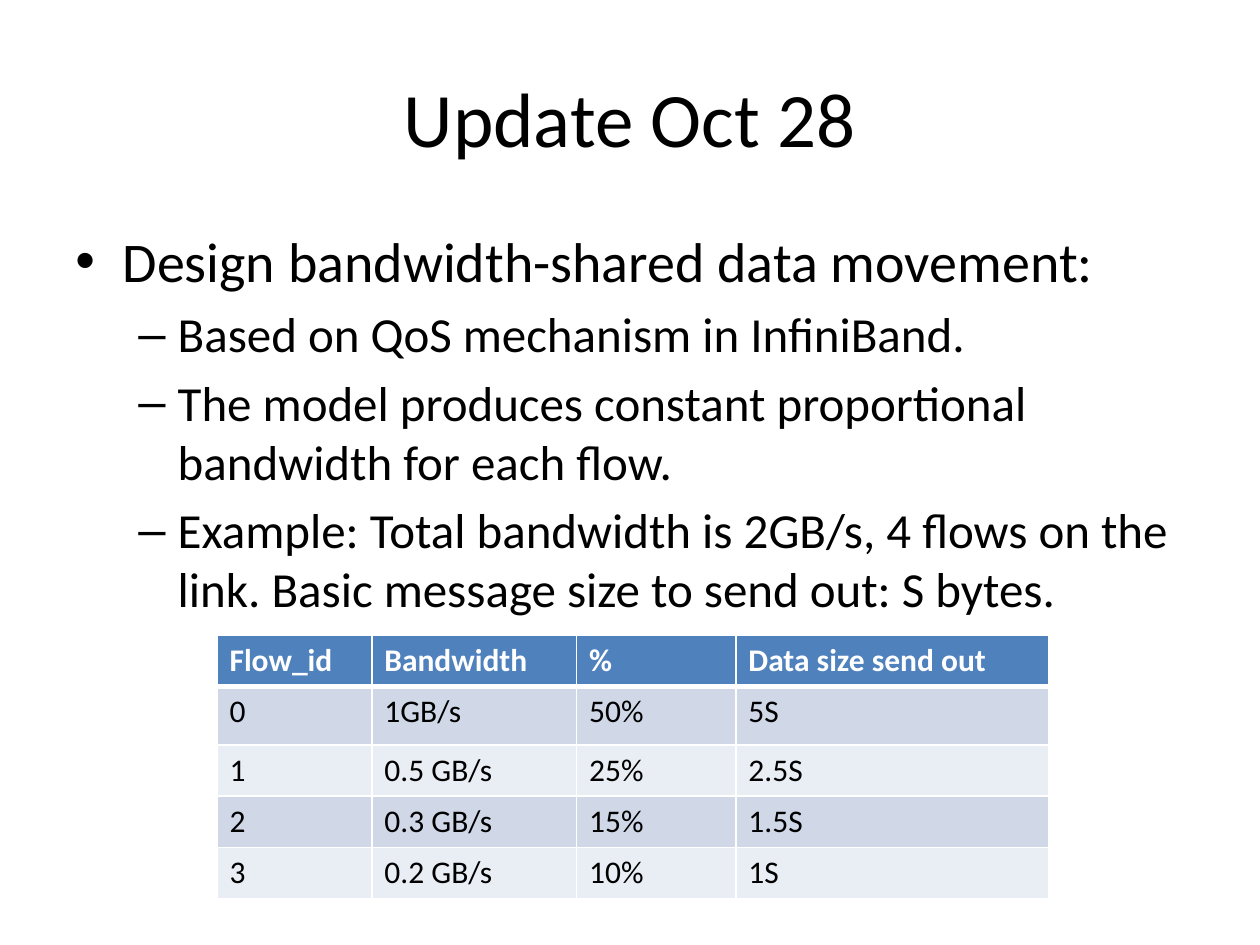
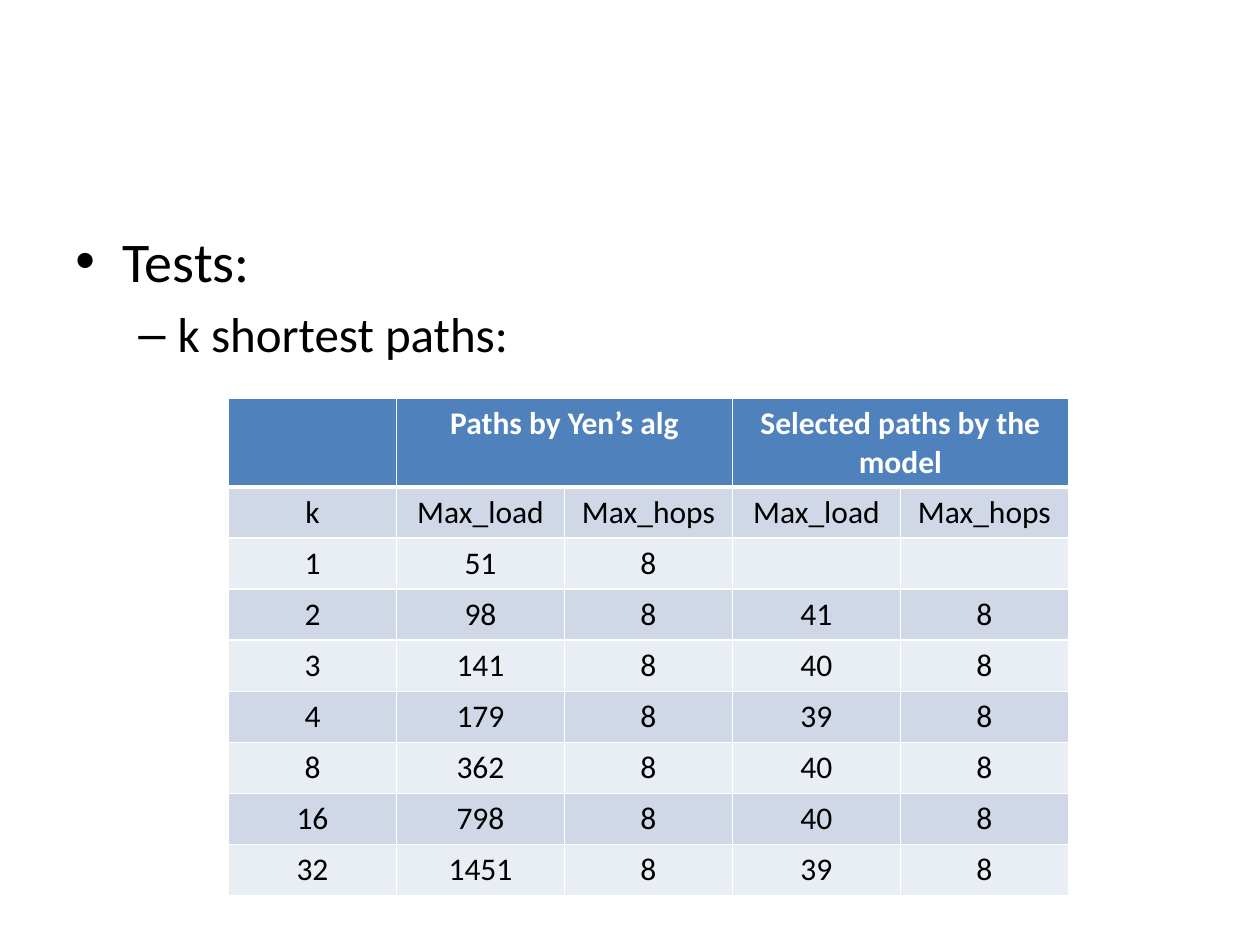
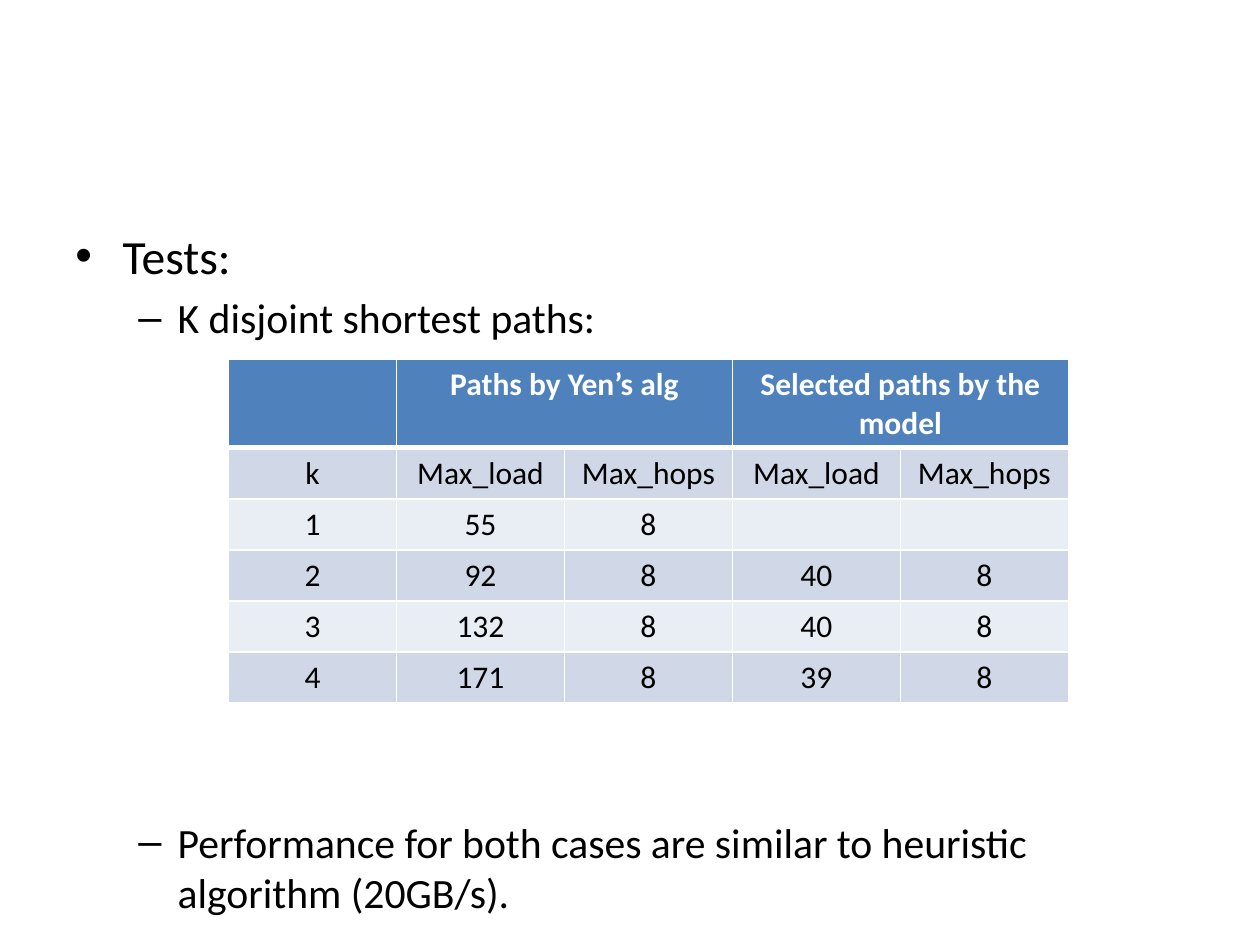
from lxml.etree import SubElement
from pptx import Presentation
from pptx.dml.color import RGBColor
from pptx.enum.text import MSO_ANCHOR, PP_ALIGN
from pptx.oxml.ns import qn
from pptx.util import Pt

FONT = "Calibri"
BLACK, WHITE = "000000", "FFFFFF"
HEAD, DARK, LIGHT = "4F81BD", "D0D8E8", "E9EDF4"
ROW = 29.2
BULLETS = [("•", 27, 27), ("–", 58.5, 22.5)]


def color(code):
    return RGBColor.from_string(code)


def add_run(para, text, size, code=BLACK, bold=False):
    run = para.add_run()
    run.text = text
    font = run.font
    font.name, font.size, font.bold = FONT, Pt(size), bold
    font.color.rgb = color(code)


def add_frame(slide, top, height):
    frame = slide.shapes.add_textbox(Pt(36), Pt(top), Pt(648), Pt(height)).text_frame
    frame.word_wrap = True
    return frame


def add_title(slide, text):
    frame = add_frame(slide, 21.6, 90)
    frame.vertical_anchor = MSO_ANCHOR.MIDDLE
    para = frame.paragraphs[0]
    para.alignment = PP_ALIGN.CENTER
    add_run(para, text, 44)


def add_point(para, level, text, size, gap):
    mark, left, hang = BULLETS[level]
    para.level = level
    para.space_before = Pt(gap)
    props = para._p.get_or_add_pPr()
    props.set("marL", str(Pt(left)))
    props.set("indent", str(-Pt(hang)))
    SubElement(props, qn("a:buFont")).set("typeface", "Arial")
    SubElement(props, qn("a:buChar")).set("char", mark)
    add_run(para, text, size)


def add_body(slide, head, points, sizes=(32, 28), gaps=None):
    frame = add_frame(slide, 126, 356.4)
    add_point(frame.paragraphs[0], 0, head, sizes[0], 0)
    for index, text in enumerate(points):
        gap = (gaps or {}).get(index, sizes[1] * 0.2)
        add_point(frame.add_paragraph(), 1, text, sizes[1], gap)


def add_border(cell, side, width):
    line = SubElement(cell._tc.get_or_add_tcPr(), qn("a:ln" + side), w=str(Pt(width)))
    fill = SubElement(line, qn("a:solidFill"))
    SubElement(fill, qn("a:srgbClr")).set("val", WHITE)


def style_cell(cell, row):
    for side in "LRTB":
        thick = (row, side) in ((0, "B"), (1, "T"))
        add_border(cell, side, 3 if thick else 1)
    cell.fill.solid()
    cell.fill.fore_color.rgb = color(HEAD if row == 0 else DARK if row % 2 else LIGHT)


def add_grid(slide, left, top, widths, heights, rows, align):
    table = slide.shapes.add_table(
        len(rows), len(widths), Pt(left), Pt(top), Pt(sum(widths)), Pt(sum(heights))
    ).table
    for column, width in zip(table.columns, widths):
        column.width = Pt(width)
    for line, height in zip(table.rows, heights):
        line.height = Pt(height)
    for r, texts in enumerate(rows):
        for c, text in enumerate(texts):
            cell = table.cell(r, c)
            style_cell(cell, r)
            if text is None:
                table.cell(r, c - 1).merge(cell)
            elif text:
                para = cell.text_frame.paragraphs[0]
                para.alignment = align
                add_run(para, text, 18, BLACK if r else WHITE, r == 0)


def add_tests(slide, top, data):
    rows = [
        ["", "Paths by Yen’s alg", None, "Selected paths by the model", None],
        ["k"] + ["Max_load", "Max_hops"] * 2,
    ]
    for k, load, chosen in data:
        rows.append([k, load, "8", chosen, "8" if chosen else ""])
    heights = [50.4] + [ROW] * (len(rows) - 1)
    add_grid(slide, 130.6, top, [96] * 5, heights, rows, PP_ALIGN.CENTER)


def main():
    deck = Presentation()
    deck.slide_width, deck.slide_height = Pt(720), Pt(540)
    update, short, split = [deck.slides.add_slide(deck.slide_layouts[6]) for _ in range(3)]

    add_title(update, "Update Oct 28")
    add_body(update, "Design bandwidth-shared data movement:", [
        "Based on QoS mechanism in InfiniBand.",
        "The model produces constant proportional bandwidth for each flow.",
        "Example: Total bandwidth is 2GB/s, 4 flows on the link. "
        "Basic message size to send out: S bytes.",
    ])
    flows = [
        ["Flow_id", "Bandwidth", "%", "Data size send out"],
        ["0", "1GB/s", "50%", "5S"],
        ["1", "0.5 GB/s", "25%", "2.5S"],
        ["2", "0.3 GB/s", "15%", "1.5S"],
        ["3", "0.2 GB/s", "10%", "1S"],
    ]
    add_grid(update, 124, 363, [88.5, 117, 91, 179], [ROW, 33.6] + [ROW] * 3,
             flows, PP_ALIGN.LEFT)

    add_body(short, "Tests:", ["k shortest paths:"])
    add_tests(short, 227.8, [
        ("1", "51", ""), ("2", "98", "41"), ("3", "141", "40"), ("4", "179", "39"),
        ("8", "362", "40"), ("16", "798", "40"), ("32", "1451", "39"),
    ])

    add_body(split, "Tests:", [
        "K disjoint shortest paths:",
        "Performance for both cases are similar to heuristic algorithm (20GB/s).",
    ], (27.2, 23.8), {1: 271})
    add_tests(split, 205.4, [
        ("1", "55", ""), ("2", "92", "40"), ("3", "132", "40"), ("4", "171", "39"),
    ])
    deck.save("out.pptx")


if __name__ == "__main__":
    main()
